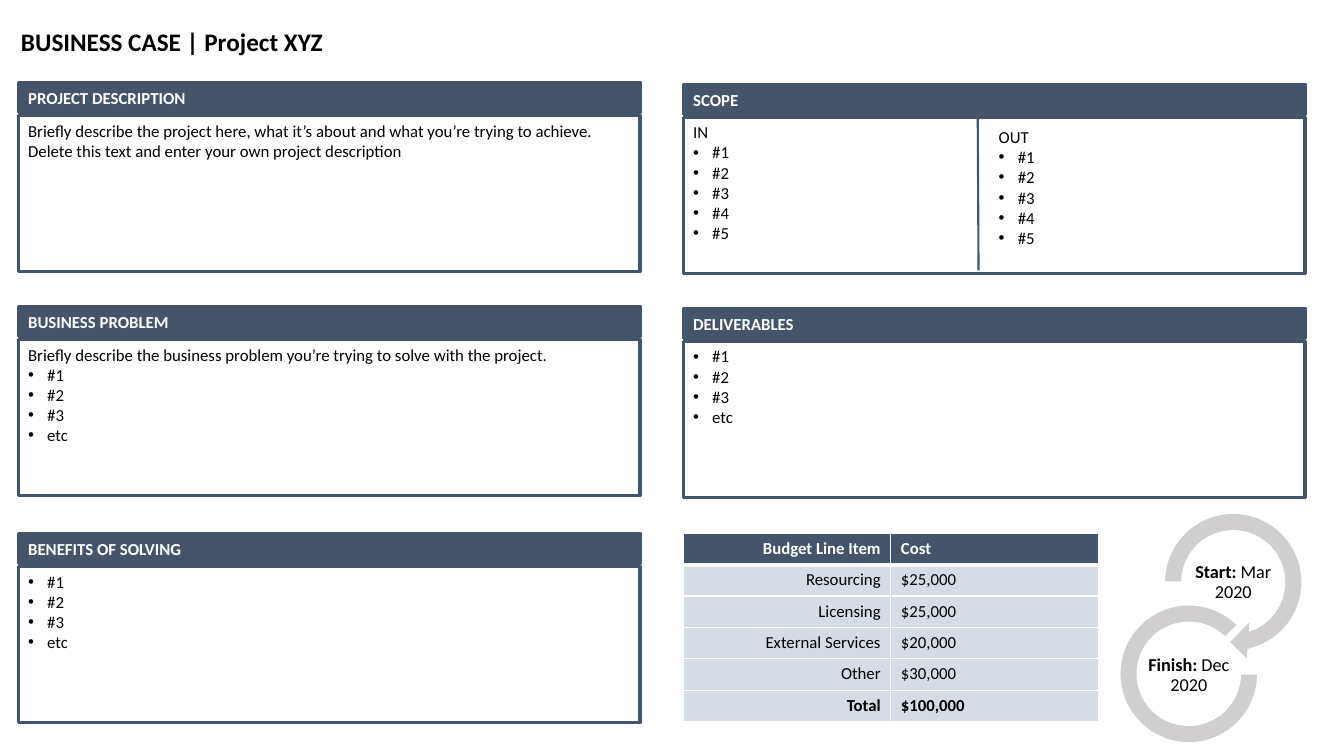
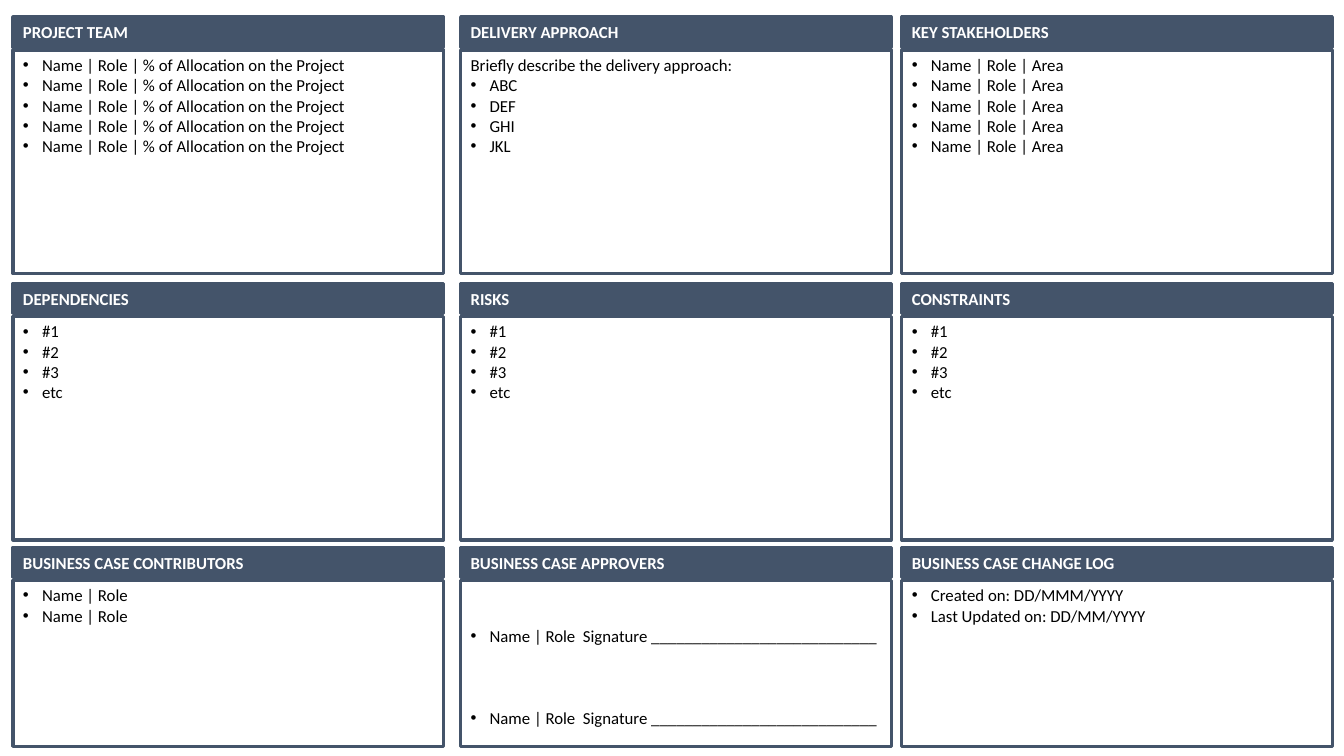
from lxml.etree import SubElement
from pptx import Presentation
from pptx.dml.color import RGBColor
from pptx.enum.shapes import MSO_CONNECTOR, MSO_SHAPE as Shape
from pptx.enum.text import MSO_ANCHOR as Anchor, PP_ALIGN as Align
from pptx.oxml.ns import qn
from pptx.util import Cm, Pt

FONT = "Calibri"
NAVY, BLACK, WHITE = "44546A", "000000", "FFFFFF"
CELL_BLUE, RING_GREY = "D6DCE5", "D0CECE"

# Shared panel measures, in cm
BAND_HEIGHT, BODY_OFFSET = 0.76, 0.83
BULLET_INDENT, LINE_HEIGHT = 0.48, 0.51
LINE_POINTS = 14.65  # one line of 12 pt text

NUMBERED = ["#1", "#2", "#3", "etc"]
FIVE_NUMBERED = ["#1", "#2", "#3", "#4", "#5"]
SIGNATURE = "Name | Role  Signature " + "_" * 27

# Slide 1: (left, top, heading, introduction, bullets)
CASE_WIDTH, CASE_BODY_HEIGHT = 15.67, 3.94
CASE_LEFT, CASE_RIGHT = 0.46, 17.22
CASE_PANELS = [
    (CASE_LEFT, 2.08, "PROJECT DESCRIPTION",
     "Briefly describe the project here, what it’s about and what you’re trying to achieve. "
     "Delete this text and enter your own project description", []),
    (CASE_LEFT, 7.72, "BUSINESS PROBLEM",
     "Briefly describe the business problem you’re trying to solve with the project.", NUMBERED),
    (CASE_LEFT, 13.44, "BENEFITS OF SOLVING", "", NUMBERED),
    (CASE_RIGHT, 2.13, "SCOPE", "", []),
    (CASE_RIGHT, 7.77, "DELIVERABLES", "", NUMBERED),
]
SCOPE_COLUMNS = [(CASE_RIGHT, 2.95, "IN"), (24.92, 3.07, "OUT")]
SCOPE_COLUMN_WIDTH = 7.72
SCOPE_DIVIDER = (24.64, 2.95, 24.66, 6.81)

BUDGET = [
    ("Budget Line Item", "Cost"),
    ("Resourcing", "$25,000"),
    ("Licensing", "$25,000"),
    ("External Services", "$20,000"),
    ("Other", "$30,000"),
    ("Total", "$100,000"),
]
BUDGET_TOP, BUDGET_COLUMN, BUDGET_ROW = 13.44, 5.23, 0.79

# (shape, left, top, size, adjustments, label left, label top, bold part, plain part)
DATES = [
    (Shape.CIRCULAR_ARROW, 29.06, 12.65, 4.04, (0.11, 11.42, 45, 108, 0.125),
     29.95, 14.12, "Start: ", "Mar 2020"),
    (Shape.BLOCK_ARC, 28.22, 15.24, 3.48, (0, 189, 0.127),
     28.83, 16.46, "Finish:", " Dec 2020"),
]

# Slide 2: rows of (heading, introduction, bullets)
TEAM_LEFTS, TEAM_WIDTH = (0.33, 11.61, 22.73), 10.85
TEAM_ROWS = [
    (0.43, 5.64, [
        ("PROJECT TEAM", "", ["Name | Role | % of Allocation on the Project"] * 5),
        ("DELIVERY APPROACH", "Briefly describe the delivery approach:",
         ["ABC", "DEF", "GHI", "JKL"]),
        ("KEY STAKEHOLDERS", "", ["Name | Role | Area"] * 5)]),
    (7.14, 5.64, [
        ("DEPENDENCIES", "", NUMBERED),
        ("RISKS", "", NUMBERED),
        ("CONSTRAINTS", "", NUMBERED)]),
    (13.79, 4.19, [
        ("BUSINESS CASE CONTRIBUTORS", "", ["Name | Role"] * 2),
        ("BUSINESS CASE APPROVERS", "", [SIGNATURE] * 2),
        ("BUSINESS CASE CHANGE LOG", "",
         ["Created on: DD/MMM/YYYY", "Last Updated on: DD/MM/YYYY"])]),
]


def rgb(color):
    return RGBColor.from_string(color)


def add_run(paragraph, text, size=12, color=BLACK, bold=False):
    run = paragraph.add_run()
    run.text = text
    run.font.name = FONT
    run.font.size = Pt(size)
    run.font.bold = bold
    run.font.color.rgb = rgb(color)


def add_text_box(slide, left, top, width, height):
    box = slide.shapes.add_textbox(Cm(left), Cm(top), Cm(width), Cm(height))
    box.text_frame.word_wrap = True
    return box.text_frame


def add_shape(slide, kind, left, top, width, height, fill, line, line_width):
    shape = slide.shapes.add_shape(kind, Cm(left), Cm(top), Cm(width), Cm(height))
    shape.shadow.inherit = False
    if fill:
        shape.fill.solid()
        shape.fill.fore_color.rgb = rgb(fill)
    else:
        shape.fill.background()
    shape.line.color.rgb = rgb(line)
    shape.line.width = Pt(line_width)
    return shape


def make_bullet(paragraph):
    properties = paragraph._p.get_or_add_pPr()
    properties.set("marL", str(Cm(BULLET_INDENT)))
    properties.set("indent", str(-Cm(BULLET_INDENT)))
    SubElement(properties, qn("a:buFont")).set("typeface", "Arial")
    SubElement(properties, qn("a:buChar")).set("char", "•")


def add_list(slide, left, top, width, introduction, bullets):
    """Add a text box with an optional first line and bullets below it."""
    lines = [(introduction, False)] if introduction else []
    lines += [(bullet, True) for bullet in bullets]
    line_count = max(len(lines), 2)
    frame = add_text_box(slide, left, top, width, 0.25 + LINE_HEIGHT * line_count)
    for index, (text, bulleted) in enumerate(lines):
        paragraph = frame.add_paragraph() if index else frame.paragraphs[0]
        if bulleted:
            make_bullet(paragraph)
        add_run(paragraph, text)
    return frame


def add_panel(slide, left, top, width, body_height, heading, introduction, bullets):
    """Add a heading band, an outlined body and the text in it, if any."""
    band = add_shape(slide, Shape.RECTANGLE, left, top, width, BAND_HEIGHT, NAVY, NAVY, 2.25)
    band.text_frame.vertical_anchor = Anchor.MIDDLE
    paragraph = band.text_frame.paragraphs[0]
    paragraph.alignment = Align.LEFT
    add_run(paragraph, heading, color=WHITE, bold=True)
    body_top = top + BODY_OFFSET
    add_shape(slide, Shape.RECTANGLE, left, body_top, width, body_height, None, NAVY, 2.25)
    if introduction or bullets:
        return add_list(slide, left, body_top, width, introduction, bullets)


def add_cell_borders(cell, bottom_width):
    properties = cell._tc.get_or_add_tcPr()
    for side, width in (("L", 1), ("R", 1), ("T", 1), ("B", bottom_width)):
        line = SubElement(properties, qn(f"a:ln{side}"), w=str(Pt(width)))
        fill = SubElement(line, qn("a:solidFill"))
        SubElement(fill, qn("a:srgbClr")).set("val", WHITE)


def add_budget_table(slide):
    row_count, column_count = len(BUDGET), len(BUDGET[0])
    table = slide.shapes.add_table(
        row_count, column_count, Cm(CASE_RIGHT), Cm(BUDGET_TOP),
        Cm(BUDGET_COLUMN * column_count), Cm(BUDGET_ROW * row_count)).table
    table.horz_banding = False
    for column in table.columns:
        column.width = Cm(BUDGET_COLUMN)
    for row_index, values in enumerate(BUDGET):
        table.rows[row_index].height = Cm(BUDGET_ROW)
        is_header = row_index == 0
        is_bold = row_index in (0, row_count - 1)
        for column_index, value in enumerate(values):
            cell = table.cell(row_index, column_index)
            add_cell_borders(cell, 3 if is_header else 1)
            cell.fill.solid()
            cell.fill.fore_color.rgb = rgb(NAVY if is_header else CELL_BLUE)
            paragraph = cell.text_frame.paragraphs[0]
            paragraph.alignment = Align.LEFT if column_index else Align.RIGHT
            add_run(paragraph, value, color=WHITE if is_header else BLACK, bold=is_bold)


def add_dates(slide):
    for kind, left, top, size, adjustments, label_left, label_top, bold, plain in DATES:
        ring = add_shape(slide, kind, left, top, size, size, RING_GREY, WHITE, 1)
        for index, value in enumerate(adjustments):
            ring.adjustments[index] = value
        frame = add_text_box(slide, label_left, label_top, 2.26, 1.12)
        frame.margin_left = frame.margin_right = Cm(0.03)
        frame.margin_top = frame.margin_bottom = Cm(0.03)
        frame.vertical_anchor = Anchor.MIDDLE
        paragraph = frame.paragraphs[0]
        paragraph.alignment = Align.CENTER
        paragraph.line_spacing = 0.9
        add_run(paragraph, bold, size=13, bold=True)
        add_run(paragraph, plain, size=13)


def add_scope(slide):
    for left, top, heading in SCOPE_COLUMNS:
        add_list(slide, left, top, SCOPE_COLUMN_WIDTH, heading, FIVE_NUMBERED)
    divider = slide.shapes.add_connector(
        MSO_CONNECTOR.STRAIGHT, *(Cm(value) for value in SCOPE_DIVIDER))
    divider.line.color.rgb = rgb(NAVY)
    divider.line.width = Pt(1.5)
    SubElement(divider._element.spPr, qn("a:effectLst"))


def build_case_slide(slide):
    title = add_text_box(slide, 0.28, 0.53, 11.05, 1.02)
    add_run(title.paragraphs[0], "BUSINESS CASE | Project XYZ", size=18, bold=True)
    for left, top, *content in CASE_PANELS:
        add_panel(slide, left, top, CASE_WIDTH, CASE_BODY_HEIGHT, *content)
    add_scope(slide)
    add_budget_table(slide)
    add_dates(slide)


def build_team_slide(slide):
    for top, body_height, panels in TEAM_ROWS:
        for left, panel in zip(TEAM_LEFTS, panels):
            frame = add_panel(slide, left, top, TEAM_WIDTH, body_height, *panel)
            if SIGNATURE in panel[2]:
                # Leave room to sign above each line
                frame.margin_top = Cm(0.13) + Pt(2 * LINE_POINTS)
                for paragraph in frame.paragraphs[1:]:
                    paragraph.space_before = Pt(3 * LINE_POINTS)


def main():
    presentation = Presentation()
    presentation.slide_width, presentation.slide_height = Cm(33.87), Cm(19.05)
    for build in (build_case_slide, build_team_slide):
        build(presentation.slides.add_slide(presentation.slide_layouts[6]))
    presentation.save("out.pptx")


if __name__ == "__main__":
    main()
